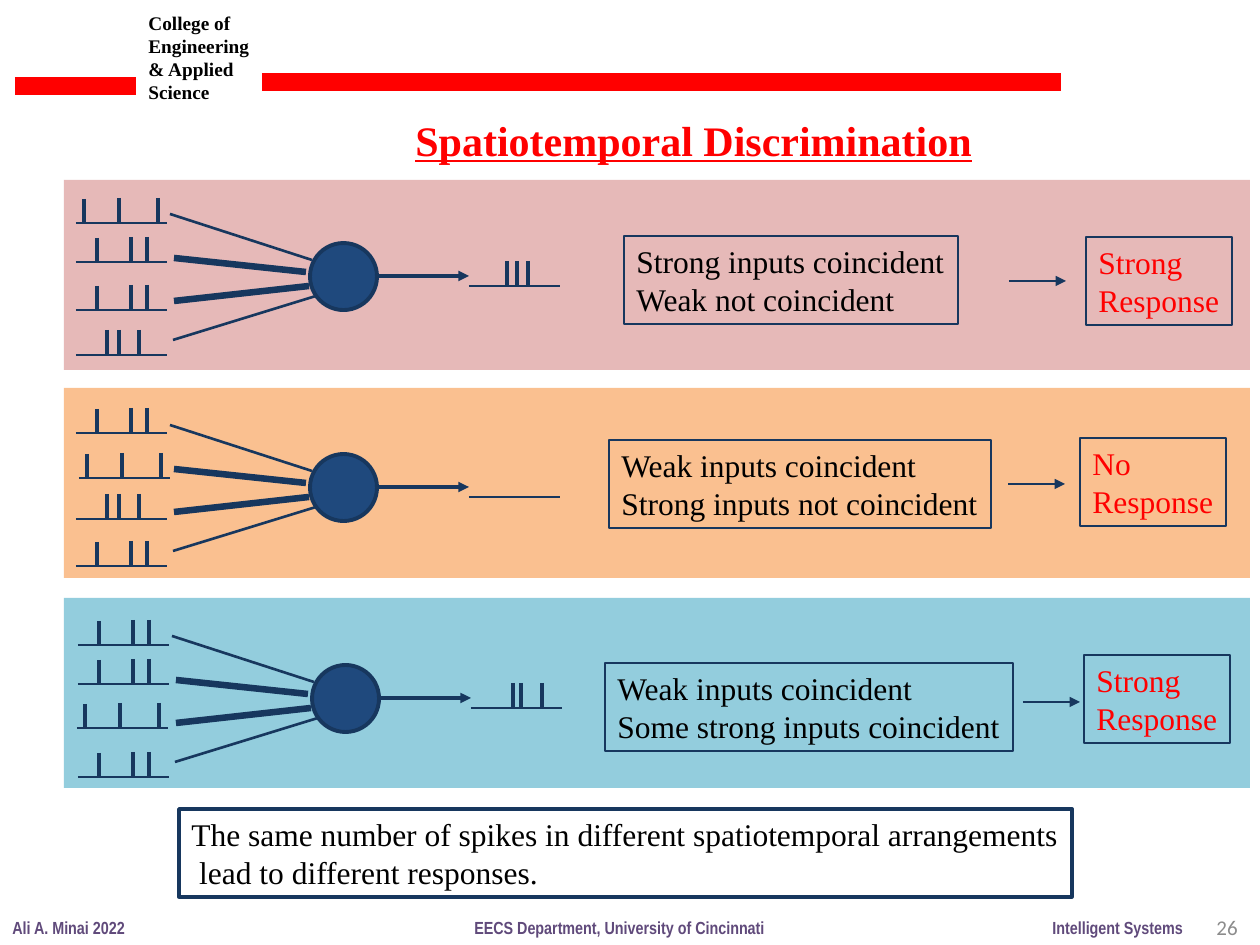
from pptx import Presentation
from pptx import util as u
from pptx.dml import color
from pptx.enum import shapes, text
from pptx.oxml import ns
from lxml import etree

SCALE = 914400 / 126
NAVY, RED, BLACK = "17375E", "FF0000", "000000"
SERIF = "Times New Roman"

WIDE = [(8, 1), (43, 0), (82, 0)]
LATE = [(21, 1), (55, 0), (71, 0)]
MID = [(31, 0), (43, 0), (63, 0)]
BURST = [(38, 0), (48, 0), (59, 0)]
PAIR = [(42, 0), (50, 0), (71, 0)]

FAN = [
    (-140, -29, 2, 17, 1.5),
    (-136, 15, -4, 29, 3.75),
    (-136, 58, -1, 43, 3.75),
    (-137, 97, 6, 53, 1.5),
]

BANDS = [(180, "E6B9B8"), (388, "FAC090"), (598, "93CDDD")]

NETS = [
    (310, 243, [(-234, -20, WIDE), (-234, 19, LATE), (-234, 67, LATE),
                (-234, 112, MID), (159, 43, BURST)]),
    (310, 454, [(-234, -21, LATE), (-231, 24, WIDE), (-234, 65, MID),
                (-234, 112, LATE), (159, 43, [])]),
    (312, 665, [(-234, -20, LATE), (-234, 19, LATE), (-235, 63, WIDE),
                (-234, 112, LATE), (159, 43, PAIR)]),
]

CASES = [
    ((624, 236, 334, 88), "Strong inputs coincident\nWeak not coincident",
     (1009, 281), (1086, 237, 146, 88), "Strong\nResponse"),
    ((609, 440, 382, 88), "Weak inputs coincident\nStrong inputs not coincident",
     (1008, 484), (1080, 438, 146, 88), "No\nResponse"),
    ((605, 663, 408, 88), "Weak inputs coincident\nSome strong inputs coincident",
     (1023, 702), (1084, 655, 146, 88), "Strong\nResponse"),
]

FOOT = [
    ((0, 911, 139, 34), "Ali A. Minai 2022"),
    ((1040, 911, 156, 34), "Intelligent Systems"),
    ((462, 911, 318, 34), "EECS Department, University of Cincinnati"),
]


def px(*vals):
    return [u.Emu(round(v * SCALE)) for v in vals]


def rgb(code):
    return color.RGBColor.from_string(code)


def line(pool, x1, y1, x2, y2, width, hue=NAVY, arrow=False):
    link = pool.add_connector(shapes.MSO_CONNECTOR.STRAIGHT, *px(x1, y1, x2, y2))
    link.line.color.rgb = rgb(hue)
    link.line.width = u.Pt(width)
    if arrow:
        tail = etree.SubElement(link.line._get_or_add_ln(), ns.qn("a:tailEnd"))
        tail.set("type", "triangle")
    props = link._element.spPr
    etree.SubElement(props, ns.qn("a:effectLst"))


def shape(pool, kind, at, fill, edge=None, width=1):
    item = pool.add_shape(kind, *px(*at))
    item.shadow.inherit = False
    item.fill.solid()
    item.fill.fore_color.rgb = rgb(fill)
    if edge:
        item.line.color.rgb = rgb(edge)
        item.line.width = u.Pt(width)
    else:
        item.line.fill.background()


def write(pool, at, words, size=18, font=SERIF, hue=BLACK, bold=False,
          under=False, wrap=False, edge=0, grow=True, right=False):
    box = pool.add_textbox(*px(*at))
    if edge:
        box.line.color.rgb = rgb(NAVY)
        box.line.width = u.Pt(edge)
    frame = box.text_frame
    frame.text = words
    frame.word_wrap = wrap
    if grow:
        frame.auto_size = text.MSO_AUTO_SIZE.SHAPE_TO_FIT_TEXT
    else:
        frame.vertical_anchor = text.MSO_ANCHOR.MIDDLE
    for para in frame.paragraphs:
        para.alignment = text.PP_ALIGN.RIGHT if right else text.PP_ALIGN.LEFT
        for run in para.runs:
            run.font.size = u.Pt(size)
            run.font.name = font
            run.font.color.rgb = rgb(hue)
            run.font.bold = bold
            run.font.underline = under


def train(pool, x, y, spikes):
    line(pool, x, y, x + 91, y, 1)
    for dx, drop in spikes:
        line(pool, x + dx, y - 25 + drop, x + dx, y - 1 + drop, 2)


def neuron(pool, x, y, trains):
    group = pool.add_group_shape().shapes
    shape(group, shapes.MSO_SHAPE.OVAL, (x, y, 67, 67), "1F497D", NAVY, 2.25)
    for x1, y1, x2, y2, width in FAN:
        line(group, x + x1, y + y1, x + x2, y + y2, width)
    line(group, x + 65, y + 33, x + 159, y + 33, 2, arrow=True)
    for dx, dy, spikes in trains:
        train(group, x + dx, y + dy, spikes)


def frame(pool):
    write(pool, (136, 5, 137, 106), "College of Engineering & Applied\nScience",
          size=11, bold=True, wrap=True)
    line(pool, 15, 86, 136, 86, 10, RED)
    line(pool, 262, 82, 1061, 82, 10, RED)
    for at, words in FOOT:
        write(pool, at, words, size=10, font="Arial Narrow", hue="604A7B", bold=True)
    write(pool, (956, 902, 294, 50), "26", size=12, font="Calibri", hue="8C8C8C",
          wrap=True, grow=False, right=True)


def main():
    deck = Presentation()
    deck.slide_width, deck.slide_height = px(1260, 945)
    pool = deck.slides.add_slide(deck.slide_layouts[6]).shapes
    frame(pool)
    for top, hue in BANDS:
        shape(pool, shapes.MSO_SHAPE.RECTANGLE, (64, top, 1186, 190), hue)
    write(pool, (403, 108, 587, 64), "Spatiotemporal Discrimination",
          size=24, hue=RED, bold=True, under=True)
    write(pool, (179, 809, 893, 88),
          "The same number of spikes in different spatiotemporal arrangements\n"
          " lead to different responses.", edge=2)
    for net in NETS:
        neuron(pool, *net)
    for at, words, (x, y), spot, reply in CASES:
        write(pool, at, words, edge=1.5)
        line(pool, x, y, x + 57, y, 1.5, arrow=True)
        write(pool, spot, reply, hue=RED, edge=1.5)
    deck.save("out.pptx")


if __name__ == "__main__":
    main()
